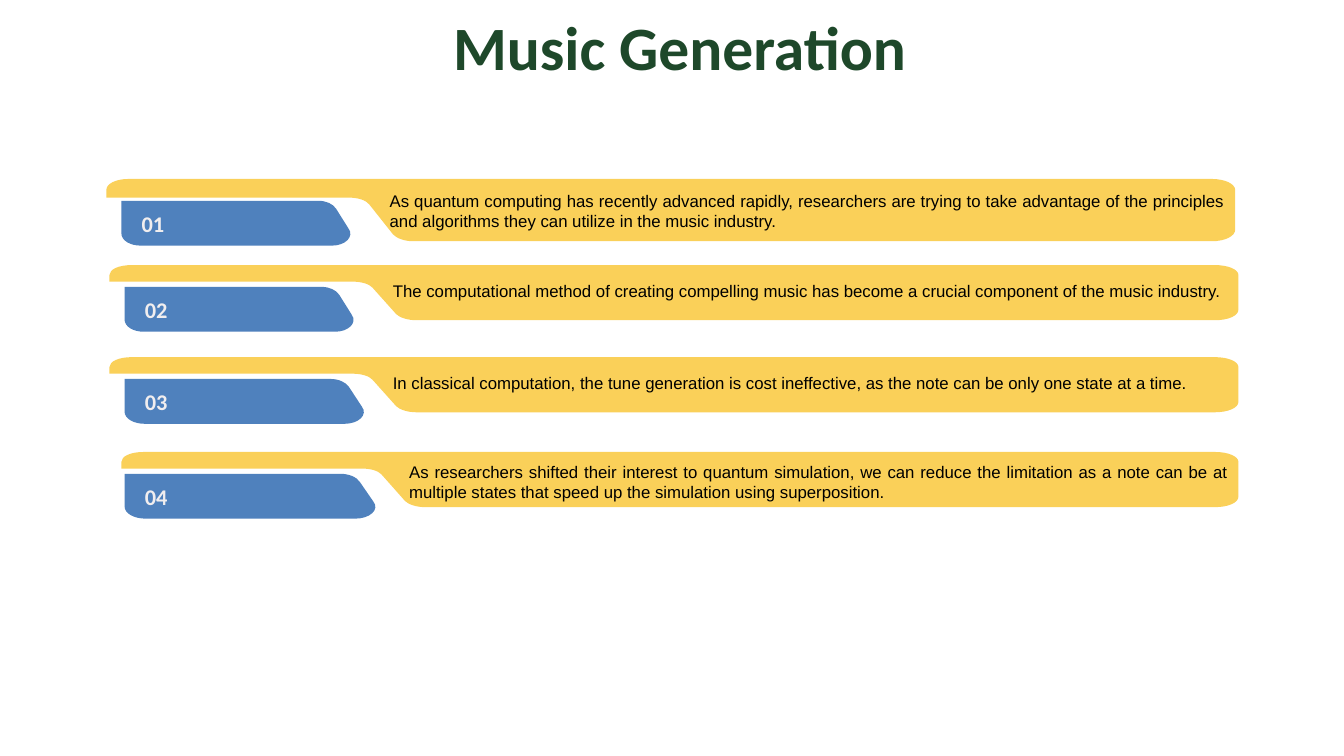
"""Build the Music Generation slide: four numbered banners under a title."""
from lxml.etree import SubElement
from pptx import Presentation
from pptx.dml.color import RGBColor
from pptx.enum.text import MSO_ANCHOR, MSO_AUTO_SIZE, PP_ALIGN
from pptx.oxml.ns import qn
from pptx.util import Cm, Pt

GREEN = RGBColor(0x1E, 0x48, 0x2A)
YELLOW = RGBColor(0xFA, 0xD0, 0x59)
BLUE = RGBColor(0x4F, 0x81, 0xBD)
PALE = RGBColor(0xF1, 0xEE, 0xEF)
BLACK = RGBColor(0, 0, 0)

SLIDE_W, SLIDE_H = 33.87, 19.05
TAB_DROP, TAB_H = 0.55, 1.13

BANNER = [
    (2, 0), (97.9, 0), (99.1, 0, 100, 8, 100, 18),
    (100, 81), (100, 92, 99.1, 100, 97.9, 100),
    (27.2, 100), (26.4, 100, 25.7, 95, 25.4, 89),
    (23.3, 41), (23, 34, 22.3, 30, 21.5, 30),
    (0, 30), (0, 18), (0, 8, 0.8, 0, 2, 0),
]
TAB = [
    (0, 0), (86, 0), (89.4, 0, 92.5, 7, 93.8, 18),
    (99.2, 62), (101.8, 80, 97.8, 100, 92, 100),
    (8.4, 100), (4, 100, 0, 89, 0, 73),
]

ROWS = [
    ((2.68, 4.51, 28.45, 1.57), (3.06, 5.77), (9.57, 4.67, 21.56, 1.28),
     "As quantum computing has recently advanced rapidly, researchers are trying to take "
     "advantage of the principles and algorithms they can utilize in the music industry."),
    ((2.76, 6.68, 28.45, 1.39), (3.14, 5.77), (9.65, 6.96, 21.56, 0.77),
     "The computational method of creating compelling music has become a crucial component "
     "of the music industry."),
    ((2.76, 9, 28.45, 1.39), (3.14, 6.03), (9.65, 9.28, 21.46, 0.77),
     "In classical computation, the tune generation is cost ineffective, as the note can be "
     "only one state at a time."),
    ((3.06, 11.39, 28.15, 1.39), (3.14, 6.32), (10.06, 11.51, 21.16, 1.28),
     "As researchers shifted their interest to quantum simulation, we can reduce the "
     "limitation as a note can be at multiple states that speed up the simulation using "
     "superposition."),
]


def bend(line_to, points):
    """Turn a straight segment into a cubic curve through the given points."""
    line_to.clear()
    curve = SubElement(line_to.getparent(), qn("a:cubicBezTo"))
    for x, y in points:
        SubElement(curve, qn("a:pt"), x=str(x), y=str(y))
    line_to.getparent().replace(line_to, curve)


def add_outline(slide, outline, box, color):
    """Draw an outline of lines and curves given in percent of its box."""
    left, top, width, height = box
    steps = [[(Cm(left + x * width / 100), Cm(top + y * height / 100))
              for x, y in zip(step[::2], step[1::2])] for step in outline]
    builder = slide.shapes.build_freeform(*steps[0][0])
    builder.add_line_segments([step[-1] for step in steps[1:]], close=True)
    sp = builder.convert_to_shape()
    for line_to, step in zip(sp._element.xpath(".//a:lnTo"), steps[1:]):
        if len(step) == 3:
            bend(line_to, [(x - sp.left, y - sp.top) for x, y in step])
    sp.shadow.inherit = False
    sp.fill.solid()
    sp.fill.fore_color.rgb = color
    sp.line.fill.background()
    return sp


def set_text(tf, text, font, size, color, align, bold=False):
    """Write one formatted paragraph and return it."""
    tf.text = text
    tf.word_wrap = True
    p = tf.paragraphs[0]
    p.alignment = align
    r = p.runs[0]
    r.font.name = font
    r.font.size = Pt(size)
    r.font.bold = bold
    r.font.color.rgb = color
    return p


def add_title(slide, text):
    """Place and format the title."""
    sp = slide.shapes.title
    sp.left, sp.top, sp.width, sp.height = Cm(0.2), Cm(0.3), Cm(SLIDE_W), Cm(2.44)
    tf = sp.text_frame
    tf.auto_size = MSO_AUTO_SIZE.NONE
    tf.vertical_anchor = MSO_ANCHOR.TOP
    p = set_text(tf, text, "Calibri", 44, GREEN, PP_ALIGN.CENTER, bold=True)
    p.line_spacing = 0.9


def add_tab(slide, box, label):
    """Draw a numbered tab."""
    tf = add_outline(slide, TAB, box, BLUE).text_frame
    tf.vertical_anchor = MSO_ANCHOR.MIDDLE
    tf.margin_left = Cm(0.51)
    tf.margin_top = tf.margin_right = tf.margin_bottom = Cm(0.1)
    set_text(tf, label, "Calibri", 16, PALE, PP_ALIGN.LEFT, bold=True)


def add_statement(slide, box, text):
    """Add the justified text of a banner."""
    tf = slide.shapes.add_textbox(*map(Cm, box)).text_frame
    set_text(tf, text, "Arial", 12, BLACK, PP_ALIGN.JUSTIFY)
    tf.auto_size = MSO_AUTO_SIZE.SHAPE_TO_FIT_TEXT


def main():
    """Build and save the slide."""
    prs = Presentation()
    prs.slide_width, prs.slide_height = Cm(SLIDE_W), Cm(SLIDE_H)
    slide = prs.slides.add_slide(prs.slide_layouts[5])
    add_title(slide, "Music Generation")
    for number, (banner, (tab_left, tab_width), text_box, text) in enumerate(ROWS, 1):
        add_outline(slide, BANNER, banner, YELLOW)
        add_tab(slide, (tab_left, banner[1] + TAB_DROP, tab_width, TAB_H), f"{number:02}")
        add_statement(slide, text_box, text)
    prs.save("out.pptx")


if __name__ == "__main__":
    main()
